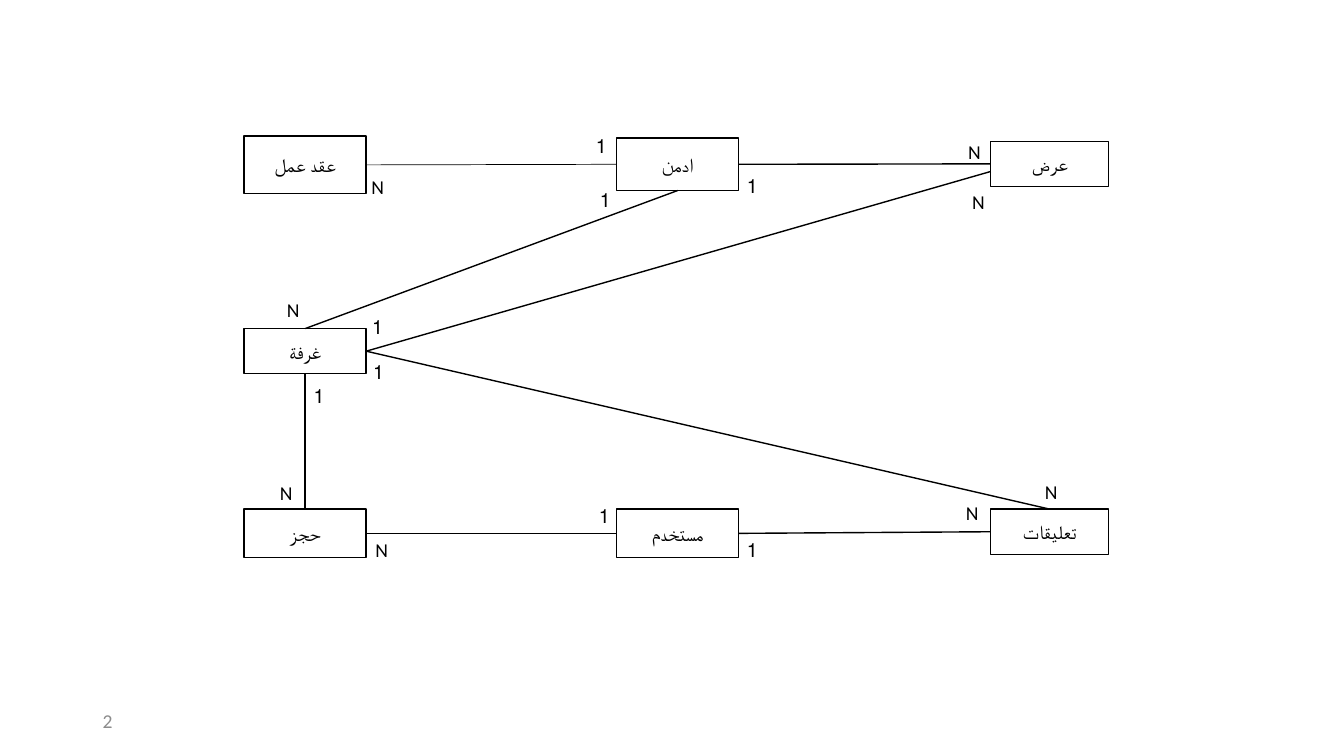
from lxml.etree import SubElement
from pptx import Presentation
from pptx.dml.color import RGBColor
from pptx.enum.shapes import MSO_CONNECTOR, MSO_SHAPE
from pptx.enum.text import MSO_ANCHOR, MSO_AUTO_SIZE, PP_ALIGN
from pptx.oxml.ns import qn
from pptx.util import Cm, Pt

BLACK = RGBColor(0x00, 0x00, 0x00)
WHITE = RGBColor(0xFF, 0xFF, 0xFF)
GREY = RGBColor(0x8C, 0x8C, 0x8C)

TOP, LEFT, BOTTOM, RIGHT = range(4)
FIRST_COLUMN, MIDDLE_COLUMN, LAST_COLUMN = (6.15, 3.08), (15.54, 3.08), (24.97, 2.97)
FONT = {"name": "Calibri", "size": Pt(14)}
ENTITY_FRAME = {"word_wrap": True, "vertical_anchor": MSO_ANCHOR.MIDDLE}
LABEL_FRAME = {"word_wrap": True, "auto_size": MSO_AUTO_SIZE.SHAPE_TO_FIT_TEXT}


def write_text(box, text, align, color, frame_format, right_to_left=True):
    frame = box.text_frame
    for name, value in frame_format.items():
        setattr(frame, name, value)
    para = frame.paragraphs[0]
    para.alignment = align
    if right_to_left:
        para._p.get_or_add_pPr().set("rtl", "1")
    span = para.add_run()
    span.text = text
    for name, value in FONT.items():
        setattr(span.font, name, value)
    span.font.color.rgb = color


def set_line(shape, width):
    shape.line.color.rgb = BLACK
    shape.line.width = Pt(width)


deck = Presentation()
deck.slide_width = Cm(33.87)
deck.slide_height = Cm(19.05)
page = deck.slides.add_slide(deck.slide_layouts[6])

entities = {}
for name, column, top, height in [
    ("ادمن", MIDDLE_COLUMN, 3.48, 1.32),
    ("عقد عمل", FIRST_COLUMN, 3.43, 1.45),
    ("غرفة", FIRST_COLUMN, 8.28, 1.14),
    ("عرض", LAST_COLUMN, 3.56, 1.14),
    ("حجز", FIRST_COLUMN, 12.83, 1.22),
    ("مستخدم", MIDDLE_COLUMN, 12.83, 1.22),
    ("تعليقات", LAST_COLUMN, 12.83, 1.14),
]:
    left, width = column
    box = page.shapes.add_shape(MSO_SHAPE.RECTANGLE, Cm(left), Cm(top), Cm(width), Cm(height))
    box.shadow.inherit = False
    box.fill.solid()
    box.fill.fore_color.rgb = WHITE
    set_line(box, 1)
    write_text(box, name, PP_ALIGN.CENTER, BLACK, ENTITY_FRAME)
    entities[name] = box

for start, start_side, end, end_side, width in [
    ("ادمن", BOTTOM, "غرفة", TOP, 1),
    ("ادمن", LEFT, "عقد عمل", RIGHT, 0.5),
    ("ادمن", RIGHT, "عرض", LEFT, 1),
    ("مستخدم", RIGHT, "تعليقات", LEFT, 1),
    ("حجز", RIGHT, "مستخدم", LEFT, 1),
    ("غرفة", RIGHT, "تعليقات", TOP, 1),
    ("غرفة", BOTTOM, "حجز", TOP, 1),
    ("غرفة", RIGHT, "عرض", None, 1),
]:
    link = page.shapes.add_connector(MSO_CONNECTOR.STRAIGHT, 0, 0, Cm(24.97), Cm(4.32))
    link.begin_connect(entities[start], start_side)
    if end_side is not None:
        link.end_connect(entities[end], end_side)
    set_line(link, width)
    SubElement(link._element.spPr, qn("a:effectLst"))

cardinalities = {
    "1": [
        (14.83, 4.62), (14.73, 3.25), (18.54, 4.27), (18.54, 13.44),
        (9.12, 8.94), (7.62, 9.55), (14.81, 12.57), (9.09, 7.82),
    ],
    "N": [
        (24.16, 3.4), (9.12, 4.29), (6.99, 7.37), (24.1, 12.5),
        (26.09, 11.96), (6.81, 11.99), (9.22, 13.44), (24.26, 4.67),
    ],
}
for cardinality, places in cardinalities.items():
    for left, top in places:
        label = page.shapes.add_textbox(Cm(left), Cm(top), Cm(0.81), Cm(0.86))
        write_text(label, cardinality, PP_ALIGN.RIGHT, BLACK, LABEL_FRAME)

page_number = page.shapes.add_textbox(Cm(2.34), Cm(17.65), Cm(7.62), Cm(1.02))
write_text(page_number, "2", PP_ALIGN.LEFT, GREY, ENTITY_FRAME, right_to_left=False)

deck.save("out.pptx")
